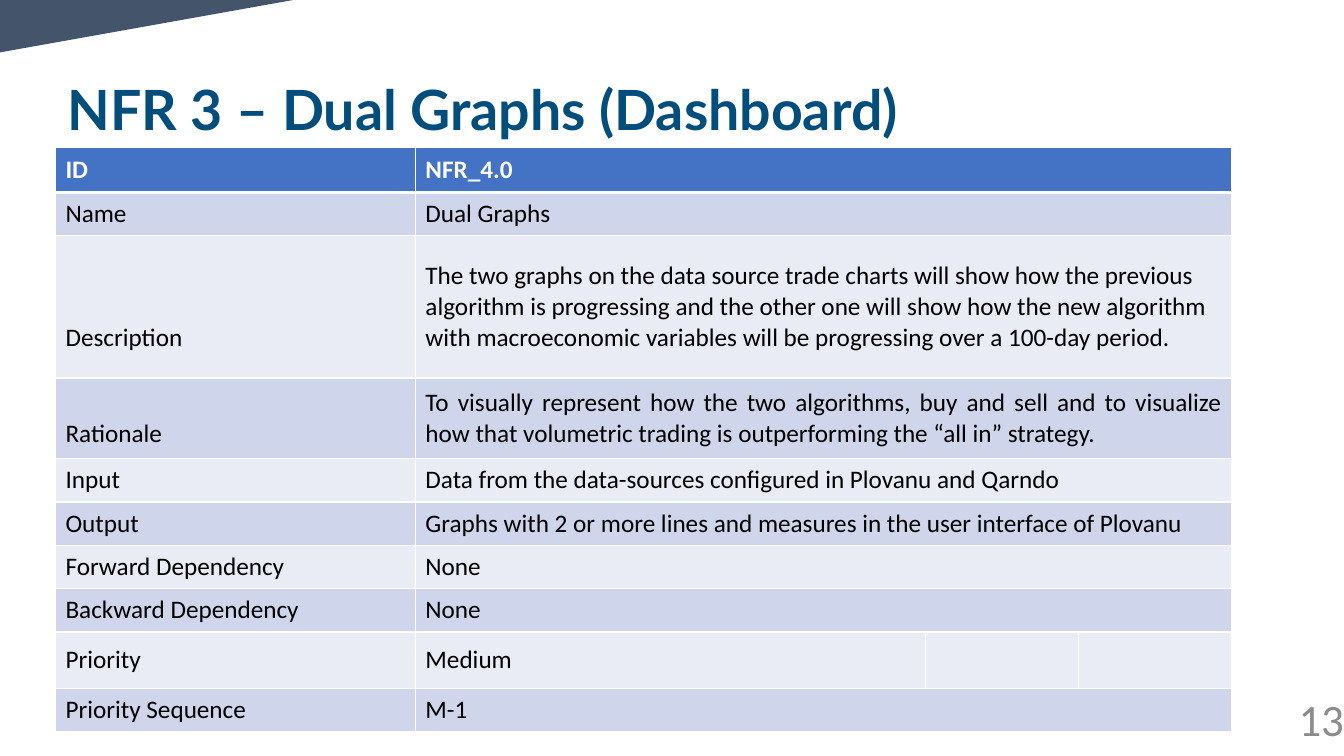
from lxml.etree import SubElement as Sub
from pptx import Presentation
from pptx.dml.color import RGBColor
from pptx.enum.shapes import MSO_SHAPE as Shape
from pptx.enum.text import MSO_ANCHOR as Anchor, MSO_AUTO_SIZE as Auto, PP_ALIGN as Align
from pptx.oxml.ns import qn
from pptx.util import Inches, Pt

WIDTHS = [3.57, 5.06, 1.52, 1.52]
LINE = 0.43
ROWS = [
    ("ID", "NFR_4.0", 0.45),
    ("Name", "Dual Graphs", LINE),
    ("Description", "The two graphs on the data source trade charts will show how the previous "
     "algorithm is progressing and the other one will show how the new algorithm with "
     "macroeconomic variables will be progressing over a 100-day period.", 1.41),
    ("Rationale", "To visually represent how the two algorithms, buy and sell and to visualize "
     "how that volumetric trading is outperforming the “all in” strategy.", 0.8),
    ("Input", "Data from the data-sources configured in Plovanu and Qarndo", LINE),
    ("Output", "Graphs with 2 or more lines and measures in the user interface of Plovanu", LINE),
    ("Forward Dependency", "None", LINE),
    ("Backward Dependency", "None", LINE),
    ("Priority", "Medium", 0.56),
    ("Priority Sequence", "M-1", LINE),
]
DROPS = {"Description": 0.61, "Rationale": 0.3}


def color(code):
    return RGBColor.from_string(code)


def write(frame, text, size=18, font="Calibri", ink="000000", bold=False,
          align=Align.LEFT, space=1.0):
    frame.word_wrap = True
    para = frame.paragraphs[0]
    para.alignment = align
    para.line_spacing = space
    run = para.add_run()
    run.text = text
    run.font.size = Pt(size)
    run.font.name = font
    run.font.bold = bold
    run.font.color.rgb = color(ink)


def edge(cell, side, width):
    line = Sub(cell._tc.get_or_add_tcPr(), qn("a:ln" + side), w=str(Pt(width)))
    fill = Sub(line, qn("a:solidFill"))
    Sub(fill, qn("a:srgbClr"), val="FFFFFF")


def style(cell, row):
    thick = {("B", 0), ("T", 1)}
    for side in "LRTB":
        edge(cell, side, 3 if (side, row) in thick else 1)
    cell.fill.solid()
    band = "CFD5EA" if row % 2 else "E9EBF5"
    cell.fill.fore_color.rgb = color(band if row else "4472C4")
    cell.vertical_anchor = Anchor.MIDDLE


def corner(slide, x, y, w, h):
    wedge = slide.shapes.add_shape(Shape.RIGHT_TRIANGLE, *map(Inches, (x, y, w, h)))
    wedge._element.spPr.find(qn("a:xfrm")).set("flipV", "1")
    wedge.shadow.inherit = False
    wedge.fill.solid()
    wedge.fill.fore_color.rgb = color("44546A")
    wedge.line.fill.background()


def title(slide, x, y, w, h):
    head = slide.shapes.title
    head.left, head.top, head.width, head.height = map(Inches, (x, y, w, h))
    frame = head.text_frame
    frame.auto_size = Auto.NONE
    frame.vertical_anchor = Anchor.BOTTOM
    write(frame, "NFR 3 – Dual Graphs (Dashboard)", size=39.6, font="Lato",
          ink="014E7D", bold=True, space=0.9)


def table(slide, x, y, w, h):
    grid = slide.shapes.add_table(len(ROWS), len(WIDTHS), *map(Inches, (x, y, w, h))).table
    for col, width in zip(grid.columns, WIDTHS):
        col.width = Inches(width)
    for row, (name, value, height) in enumerate(ROWS):
        grid.rows[row].height = Inches(height)
        cells = [grid.cell(row, col) for col in range(len(WIDTHS))]
        for cell in cells:
            style(cell, row)
        if name != "Priority":
            cells[1].merge(cells[-1])
        look = {"bold": row == 0, "ink": "000000" if row else "FFFFFF"}
        write(cells[0].text_frame, name, **look)
        cells[0].margin_top = Inches(0.05 + DROPS.get(name, 0))
        align = Align.JUSTIFY if name == "Rationale" else Align.LEFT
        write(cells[1].text_frame, value, align=align, **look)


def number(slide, x, y, w, h):
    frame = slide.shapes.add_textbox(*map(Inches, (x, y, w, h))).text_frame
    frame.vertical_anchor = Anchor.MIDDLE
    frame.margin_right = 0
    write(frame, "13", size=32, ink="8C8C8C", align=Align.RIGHT)


def main():
    deck = Presentation()
    deck.slide_width, deck.slide_height = Inches(13.33), Inches(7.5)
    slide = deck.slides.add_slide(deck.slide_layouts[5])
    corner(slide, 0, 0, 2.91, 0.52)
    table(slide, 0.55, 1.46, sum(WIDTHS), sum(row[2] for row in ROWS))
    title(slide, 0.57, 0.7, 9.15, 0.76)
    number(slide, 12.52, 6.93, 0.81, 0.4)
    deck.save("out.pptx")


if __name__ == "__main__":
    main()
